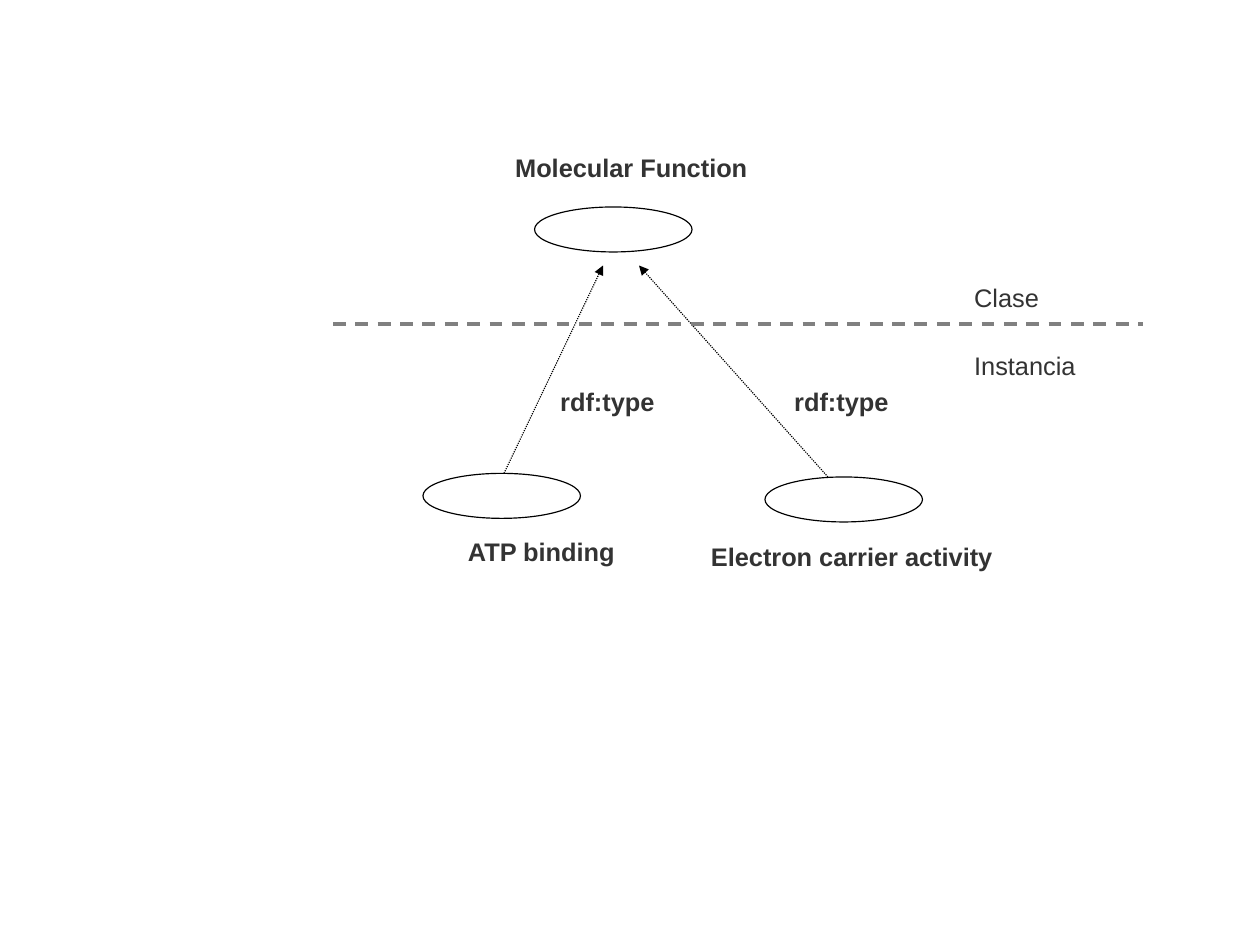
from lxml import etree
from pptx import Presentation
from pptx.dml.color import RGBColor
from pptx.enum.dml import MSO_LINE
from pptx.enum.shapes import MSO_CONNECTOR, MSO_SHAPE
from pptx.enum.text import MSO_ANCHOR
from pptx.oxml.ns import qn
from pptx.util import Cm, Pt

OVAL = MSO_SHAPE.OVAL
STRAIGHT = MSO_CONNECTOR.STRAIGHT
DOT, DASH = MSO_LINE.ROUND_DOT, MSO_LINE.DASH
TOP, MIDDLE = MSO_ANCHOR.TOP, MSO_ANCHOR.MIDDLE
COLORS = {"text": "333333", "outline": "000000", "divider": "808080"}

prs = Presentation()
prs.slide_width, prs.slide_height = Cm(28), Cm(21)
s = prs.slides.add_slide(prs.slide_layouts[6])


def add_line(x1, y1, x2, y2, color, width, dash):
    cn = s.shapes.add_connector(STRAIGHT, Cm(x1), Cm(y1), Cm(x2), Cm(y2))
    cn.line.color.rgb = RGBColor.from_string(COLORS[color])
    cn.line.width = Pt(width)
    cn.line.dash_style = dash
    etree.SubElement(cn._element.spPr, qn("a:effectLst"))
    return cn


def add_label(text, x, y, w, h, bold, inset_x, inset_y, anchor):
    tf = s.shapes.add_textbox(Cm(x), Cm(y), Cm(w), Cm(h)).text_frame
    frame = {
        "word_wrap": True,
        "vertical_anchor": anchor,
        "margin_left": Cm(inset_x),
        "margin_right": Cm(inset_x),
        "margin_top": Cm(inset_y),
        "margin_bottom": Cm(inset_y),
    }
    for name, value in frame.items():
        setattr(tf, name, value)
    p = tf.paragraphs[0]
    p.line_spacing = 0.95
    r = p.add_run()
    r.text = text
    for name, value in {"name": "Arial", "size": Pt(16), "bold": bold}.items():
        setattr(r.font, name, value)
    r.font.color.rgb = RGBColor.from_string(COLORS["text"])


for x, y in [(11.88, 4.6), (9.4, 10.52), (17, 10.6)]:
    sp = s.shapes.add_shape(OVAL, Cm(x), Cm(y), Cm(3.5), Cm(1))
    sp.shadow.inherit = False
    sp.fill.background()
    sp.line.color.rgb = RGBColor.from_string(COLORS["outline"])
    sp.line.width = Pt(0.75)

for x1, y1, x2 in [(11.2, 10.52, 13.4), (18.4, 10.6, 14.2)]:
    arrow = add_line(x1, y1, x2, 5.9, "outline", 0.75, DOT)
    etree.SubElement(arrow.line._get_or_add_ln(), qn("a:tailEnd"), type="triangle")

add_line(7.4, 7.2, 25.4, 7.2, "divider", 0, DASH)

for text, x, y, w, bold in [
    ("Molecular Function", 11.2, 3.3, 6.4, True),
    ("rdf:type", 12.2, 8.5, 3.8, True),
    ("rdf:type", 17.4, 8.5, 3.8, True),
    ("Clase", 21.4, 6.2, 3.8, False),
    ("Instancia", 21.4, 7.7, 3.8, False),
]:
    add_label(text, x, y, w, 0.9, bold, 0.25, 0.13, TOP)

for text, x, y, w in [
    ("ATP binding", 10.4, 11.89, 4),
    ("Electron carrier activity", 15.8, 12, 7.2),
]:
    add_label(text, x, y, w, 0.8, True, 0, 0, MIDDLE)

prs.save("out.pptx")
